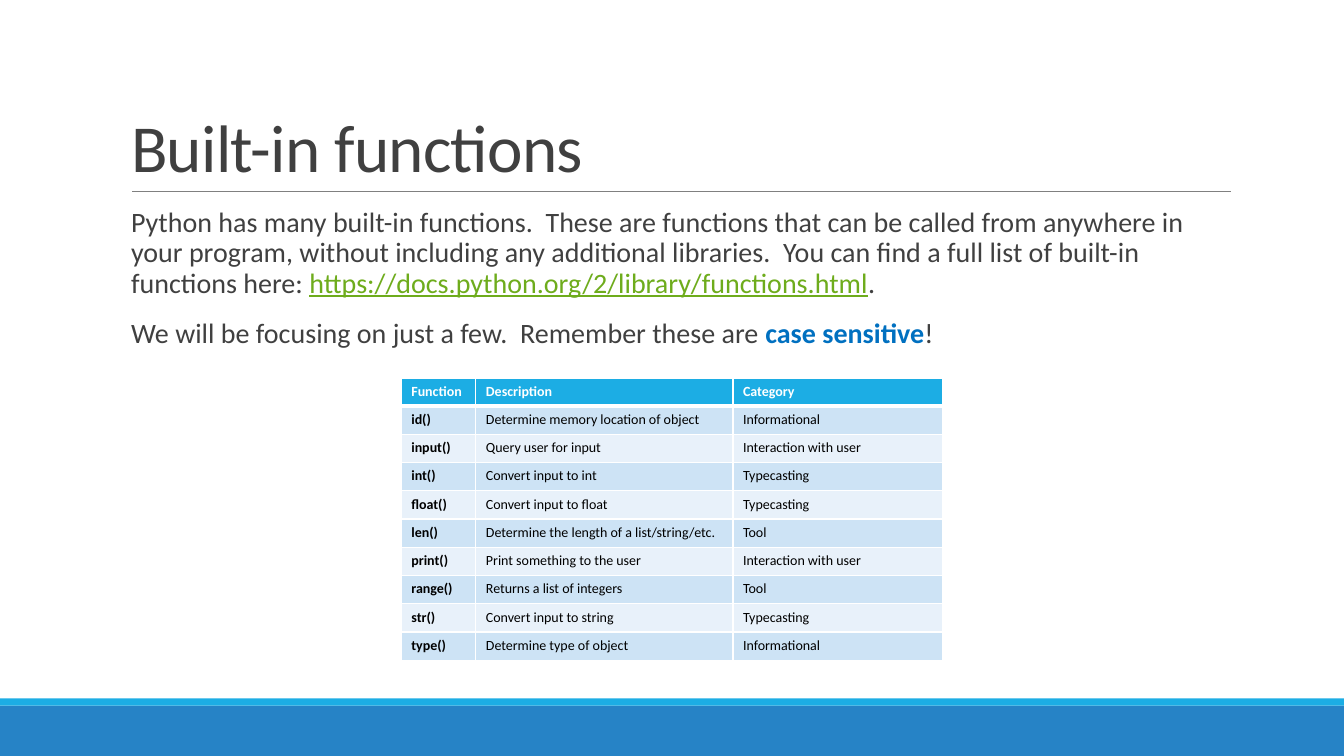
from lxml import etree
from pptx import Presentation
from pptx import util as u
from pptx.dml.color import RGBColor
from pptx.enum import shapes, text
from pptx.oxml import ns

WHITE = RGBColor(0xFF, 0xFF, 0xFF)
BLACK = RGBColor(0, 0, 0)
INK = RGBColor(0x40, 0x40, 0x40)
GREY = RGBColor(0x80, 0x80, 0x80)
CYAN = RGBColor(0x1C, 0xAD, 0xE4)
BLUE = RGBColor(0x26, 0x83, 0xC6)
STRONG_BLUE = RGBColor(0x00, 0x70, 0xC0)
LINK_GREEN = RGBColor(0x6E, 0xAC, 0x1C)
BANDS = (RGBColor(0xE8, 0xF1, 0xFA), RGBColor(0xCD, 0xE3, 0xF5))

FUNCTIONS = [
    ("Function", "Description", "Category"),
    ("id()", "Determine memory location of object", "Informational"),
    ("input()", "Query user for input", "Interaction with user"),
    ("int()", "Convert input to int", "Typecasting"),
    ("float()", "Convert input to float", "Typecasting"),
    ("len()", "Determine the length of a list/string/etc.", "Tool"),
    ("print()", "Print something to the user", "Interaction with user"),
    ("range()", "Returns a list of integers", "Tool"),
    ("str()", "Convert input to string", "Typecasting"),
    ("type()", "Determine type of object", "Informational"),
]
INTRO = [
    [
        ("Python has many built-in functions.  These are functions that can be called "
         "from anywhere in your program, without including any additional libraries.  "
         "You can find a full list of built-in functions here: ", {}),
        ("https://docs.python.org/2/library/functions.html",
         {"color": LINK_GREEN, "underline": True}),
        (".", {}),
    ],
    [
        ("We will be focusing on just a few.  Remember these are ", {}),
        ("case sensitive", {"color": STRONG_BLUE, "bold": True}),
        ("!", {}),
    ],
]


def add_span(para, words, size=20, color=INK, bold=False, underline=False, spacing=None):
    span = para.add_run()
    span.text = words
    font = span.font
    font.name, font.size, font.bold = "Calibri", u.Pt(size), bold
    font.underline = underline
    font.color.rgb = color
    if spacing is not None:
        span._r.get_or_add_rPr().set("spc", str(int(spacing * 100)))


def add_border(cell, side, points):
    properties = cell._tc.get_or_add_tcPr()
    line = etree.SubElement(properties, ns.qn(f"a:ln{side}"), w=str(u.Pt(points)))
    fill = etree.SubElement(line, ns.qn("a:solidFill"))
    etree.SubElement(fill, ns.qn("a:srgbClr"), val=str(WHITE))


class SlideBuilder:
    def __init__(self, deck):
        self.page = deck.slides.add_slide(deck.slide_layouts[6])

    def bar(self, top, height, color):
        bar = self.page.shapes.add_shape(
            shapes.MSO_SHAPE.RECTANGLE, 0, u.Inches(top), u.Inches(13.33), u.Inches(height))
        bar.shadow.inherit = False
        bar.fill.solid()
        bar.fill.fore_color.rgb = color
        bar.line.fill.background()

    def rule(self, left, right, y):
        rule = self.page.shapes.add_connector(
            shapes.MSO_CONNECTOR.STRAIGHT,
            u.Inches(left), u.Inches(y), u.Inches(right), u.Inches(y))
        rule.line.color.rgb = GREY
        rule.line.width = u.Pt(0.5)
        etree.SubElement(rule._element.spPr, ns.qn("a:effectLst"))

    def text(self, bounds, paragraphs, anchor=text.MSO_ANCHOR.TOP,
             line_spacing=0.9, before=0, after=0):
        box = self.page.shapes.add_textbox(*map(u.Inches, bounds))
        frame = box.text_frame
        frame.word_wrap = True
        frame.vertical_anchor = anchor
        frame.margin_left = frame.margin_right = 0
        for index, spans in enumerate(paragraphs):
            para = frame.add_paragraph() if index else frame.paragraphs[0]
            para.line_spacing = line_spacing
            para.space_before, para.space_after = u.Pt(before), u.Pt(after)
            for words, style in spans:
                add_span(para, words, **style)

    def table(self, left, top, widths, row_height, rows):
        table = self.page.shapes.add_table(
            len(rows), len(widths), u.Inches(left), u.Inches(top),
            u.Inches(sum(widths)), u.Inches(row_height * len(rows))).table
        for column, width in zip(table.columns, widths):
            column.width = u.Inches(width)
        for r, values in enumerate(rows):
            table.rows[r].height = u.Inches(row_height)
            for c, value in enumerate(values):
                cell = table.cell(r, c)
                for side in "LRTB":
                    heavy = (r, side) in ((0, "B"), (1, "T"))
                    add_border(cell, side, 3 if heavy else 1)
                cell.fill.solid()
                cell.fill.fore_color.rgb = BANDS[r % 2] if r else CYAN
                add_span(cell.text_frame.paragraphs[0], value, size=10,
                         color=BLACK if r else WHITE, bold=r == 0 or c == 0)


deck = Presentation()
deck.slide_width, deck.slide_height = u.Inches(13.33), u.Inches(7.5)
slide = SlideBuilder(deck)
slide.bar(7, 0.5, BLUE)
slide.bar(6.93, 0.07, CYAN)
slide.rule(1.31, 12.21, 1.9)
slide.text((1.3, 0.31, 10.8, 1.59),
           [[("Built-in functions", {"size": 48, "spacing": -0.5})]],
           anchor=text.MSO_ANCHOR.BOTTOM, line_spacing=0.85)
slide.text((1.3, 2.02, 10.9, 4.4), INTRO, before=12, after=2)
slide.table(3.98, 3.75, (0.74, 2.55, 2.08), 0.28, FUNCTIONS)
deck.save("out.pptx")
